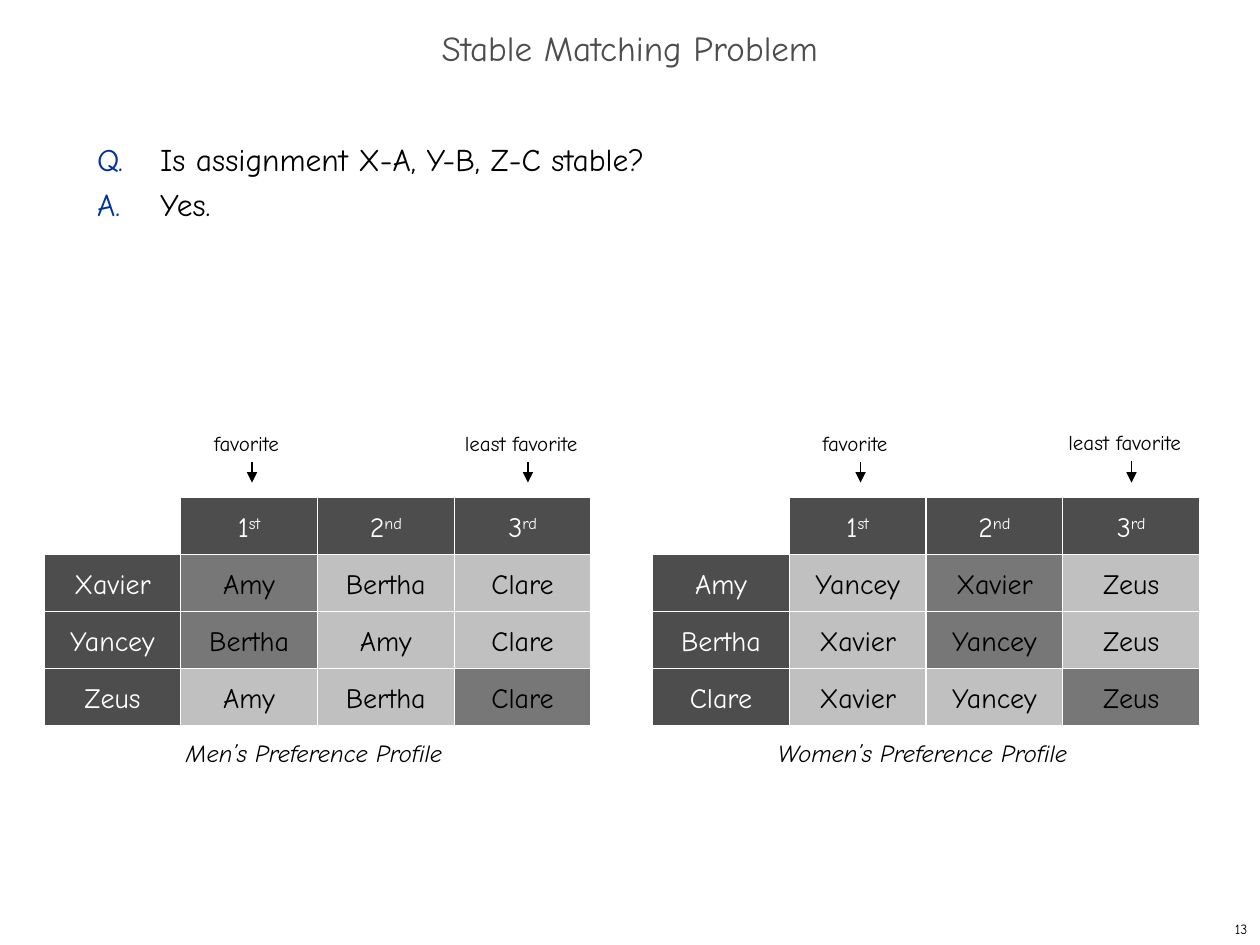
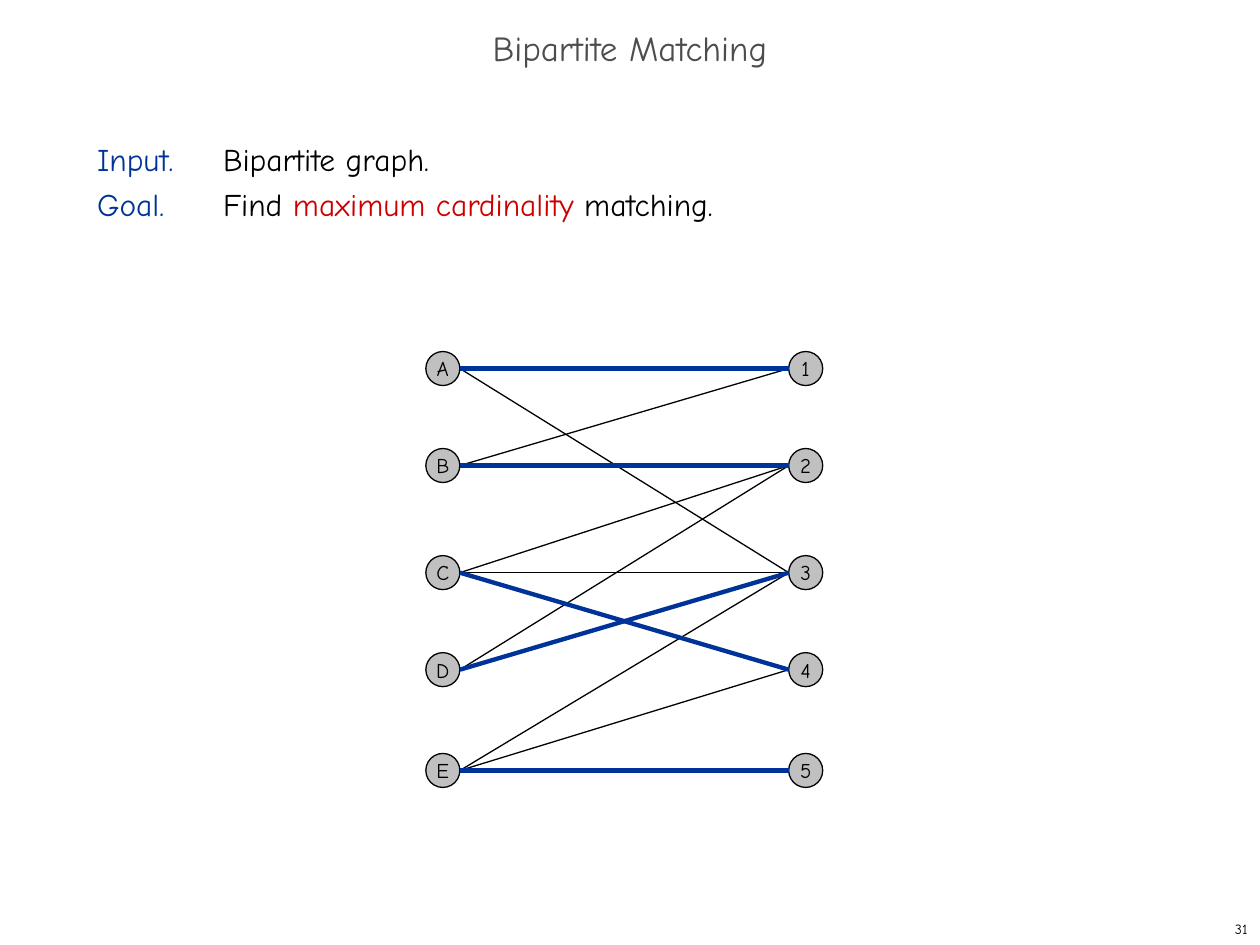
"""Two slides on matching: preference profiles and a bipartite graph."""
from dataclasses import dataclass
from typing import Any, NamedTuple

import pptx
import pptx.dml.color
import pptx.enum.shapes
import pptx.enum.text
import pptx.oxml.xmlchemy
import pptx.util

Inches = pptx.util.Inches
Pt = pptx.util.Pt
Align = pptx.enum.text.PP_ALIGN
Anchor = pptx.enum.text.MSO_ANCHOR
ShapeKind = pptx.enum.shapes.MSO_SHAPE
new_element = pptx.oxml.xmlchemy.OxmlElement


# Shared look
@dataclass(frozen=True)
class Theme:
    font: str = "Comic Neue"
    ink: str = "000000"
    paper: str = "FFFFFF"
    dark: str = "4D4D4D"
    matched: str = "777777"
    light: str = "C0C0C0"
    blue: str = "003399"
    red: str = "CC0000"
    title_size: float = 20
    body_size: float = 18
    cell_size: float = 16
    caption_size: float = 14
    label_size: float = 12
    number_size: float = 8
    body_leading: float = 26
    thin: float = 0.75
    thick: float = 2.5


THEME = Theme()


class Box(NamedTuple):
    left: float
    top: float
    width: float
    height: float

    def lengths(self) -> list[int]:
        return [Inches(value) for value in self]


class Run(NamedTuple):
    text: str
    color: str = THEME.ink
    superscript: bool = False


class Line(NamedTuple):
    """A body line: blue lead word, then runs starting at a tab stop."""
    lead: str
    tab: float
    runs: list[Run]


class Profile(NamedTuple):
    """Preference grid; matched holds the matched column of each row."""
    caption: str
    left: float
    least_offset: float
    label_top: float
    rows: dict[str, list[str]]
    matched: list[int]


# Helpers
def apply_format(target: Any, values: dict[str, Any]) -> None:
    for name, value in values.items():
        setattr(target, name, value)


def rgb(color: str) -> pptx.dml.color.RGBColor:
    return pptx.dml.color.RGBColor.from_string(color)


def add_runs(paragraph: Any, runs: list[Run], size: float, italic: bool = False) -> None:
    for item in runs:
        run = paragraph.add_run()
        run.text = item.text
        apply_format(run.font, {"name": THEME.font, "size": Pt(size), "italic": italic})
        run.font.color.rgb = rgb(item.color)
        if item.superscript:
            run.font._element.set("baseline", "30000")


def place(shape: Any, box: Box) -> None:
    apply_format(shape, dict(zip(("left", "top", "width", "height"), box.lengths())))


def add_text(slide: Any, box: Box, text: str, size: float, align: Any = Align.LEFT,
             italic: bool = False, inset: bool = True) -> None:
    frame = slide.shapes.add_textbox(*box.lengths()).text_frame
    apply_format(frame, {"word_wrap": True,
                         "vertical_anchor": Anchor.MIDDLE if inset else Anchor.TOP})
    if not inset:
        apply_format(frame, dict.fromkeys(
            ("margin_left", "margin_top", "margin_right", "margin_bottom"), 0))
    paragraph = frame.paragraphs[0]
    paragraph.alignment = align
    add_runs(paragraph, [Run(text)], size, italic)


def add_filled(slide: Any, kind: Any, box: Box, fill: str, line: str,
               runs: list[Run], size: float) -> None:
    shape = slide.shapes.add_shape(kind, *box.lengths())
    shape.shadow.inherit = False
    shape.fill.solid()
    shape.fill.fore_color.rgb = rgb(fill)
    shape.line.color.rgb = rgb(line)
    shape.line.width = Pt(THEME.thin)
    apply_format(shape.text_frame, {"word_wrap": False, "vertical_anchor": Anchor.MIDDLE})
    paragraph = shape.text_frame.paragraphs[0]
    paragraph.alignment = Align.CENTER
    add_runs(paragraph, runs, size)


def add_line(shapes: Any, start: tuple[float, float], end: tuple[float, float],
             color: str = THEME.ink, width: float = THEME.thin, arrow: bool = False) -> None:
    connector = shapes.add_connector(
        pptx.enum.shapes.MSO_CONNECTOR.STRAIGHT, *(Inches(value) for value in start + end))
    connector.line.color.rgb = rgb(color)
    connector.line.width = Pt(width)
    if arrow:
        tail = new_element("a:tailEnd")
        tail.set("type", "triangle")
        connector.line._get_or_add_ln().append(tail)
    connector._element.spPr.append(new_element("a:effectLst"))


def set_tab(paragraph: Any, position: float) -> None:
    """Remove the bullet and indent, and set one left tab stop."""
    properties = paragraph._p.get_or_add_pPr()
    properties.set("marL", "0")
    properties.set("indent", "0")
    properties.append(new_element("a:buNone"))
    tabs = new_element("a:tabLst")
    tab = new_element("a:tab")
    tab.set("pos", str(Inches(position)))
    tab.set("algn", "l")
    tabs.append(tab)
    properties.append(tabs)


# Frame common to both slides
def add_slide(presentation: Any, title: str, number: str, body_height: float,
              lines: list[Line]) -> Any:
    slide = presentation.slides.add_slide(presentation.slide_layouts[1])
    frames = []
    for shape, box, anchor in (
            (slide.shapes.title, Box(0, 0.17, 10, 0.5), Anchor.MIDDLE),
            (slide.placeholders[1], Box(0.67, 1, 8.58, body_height), Anchor.TOP)):
        place(shape, box)
        apply_format(shape.text_frame, {"vertical_anchor": anchor, "word_wrap": True,
                                        "auto_size": pptx.enum.text.MSO_AUTO_SIZE.NONE})
        frames.append(shape.text_frame)
    heading, body = frames

    paragraph = heading.paragraphs[0]
    apply_format(paragraph, {"alignment": Align.CENTER, "line_spacing": 0.7})
    add_runs(paragraph, [Run(title, THEME.dark)], THEME.title_size)

    for index, line in enumerate(lines):
        paragraph = body.add_paragraph() if index else body.paragraphs[0]
        set_tab(paragraph, line.tab)
        apply_format(paragraph, {"line_spacing": Pt(THEME.body_leading),
                                 "space_before": Pt(0)})
        add_runs(paragraph, [Run(line.lead + "\t", THEME.blue), *line.runs], THEME.body_size)

    add_text(slide, Box(7.92, 7.25, 2.08, 0.25), number, THEME.number_size, Align.RIGHT)
    return slide


# Preference profiles
GRID_TOP, GRID_WIDTH, GRID_HEIGHT = 3.95, 4.34, 1.81
CELL_WIDTH, CELL_HEIGHT = GRID_WIDTH / 4, GRID_HEIGHT / 4
ORDINALS = [("1", "st"), ("2", "nd"), ("3", "rd")]

PROFILES = [
    Profile("Men’s Preference Profile", 0.35, 3.34, 3.42, {
        "Xavier": ["Amy", "Bertha", "Clare"],
        "Yancey": ["Bertha", "Amy", "Clare"],
        "Zeus": ["Amy", "Bertha", "Clare"],
    }, [1, 1, 3]),
    Profile("Women’s Preference Profile", 5.18, 3.3, 3.41, {
        "Amy": ["Yancey", "Xavier", "Zeus"],
        "Bertha": ["Xavier", "Yancey", "Zeus"],
        "Clare": ["Xavier", "Yancey", "Zeus"],
    }, [2, 2, 3]),
]


def add_profile(slide: Any, profile: Profile) -> None:
    def add_cell(row: int, column: int, fill: str, runs: list[Run]) -> None:
        box = Box(profile.left + column * CELL_WIDTH, GRID_TOP + row * CELL_HEIGHT,
                  CELL_WIDTH, CELL_HEIGHT)
        add_filled(slide, ShapeKind.RECTANGLE, box, fill, THEME.paper, runs, THEME.cell_size)

    for column, (digit, suffix) in enumerate(ORDINALS, 1):
        add_cell(0, column, THEME.dark,
                 [Run(digit, THEME.paper), Run(suffix, THEME.paper, True)])
    for row, (person, choices) in enumerate(profile.rows.items(), 1):
        add_cell(row, 0, THEME.dark, [Run(person, THEME.paper)])
        for column, choice in enumerate(choices, 1):
            is_match = column == profile.matched[row - 1]
            add_cell(row, column, THEME.matched if is_match else THEME.light, [Run(choice)])

    for label, offset, top, width, arrow_offset in (
            ("favorite", 1.35, 3.42, 0.64, 0.3),
            ("least favorite", profile.least_offset, profile.label_top, 1.07, 0.5)):
        left = profile.left + offset
        add_text(slide, Box(left, top, width, 0.2), label, THEME.label_size, inset=False)
        arrow_x = left + arrow_offset
        add_line(slide.shapes, (arrow_x, top + 0.25), (arrow_x, 3.83), arrow=True)

    add_text(slide, Box(profile.left - 0.02, 5.75, 4.33, 0.45), profile.caption,
             THEME.caption_size, Align.CENTER, italic=True)


# Bipartite graph
NODE_SIZE = 0.27
LEFT_X, RIGHT_X = 3.38, 6.26
NODE_TOPS = [2.79, 3.56, 4.41, 5.18, 5.98]
LEFT_NODES, RIGHT_NODES = "ABCDE", "12345"
EDGES = ["A1", "A3", "B1", "B2", "C2", "C3", "C4", "D2", "D3", "E3", "E4", "E5"]
MATCHING = ["A1", "B2", "C4", "D3", "E5"]


def add_edges(shapes: Any, edges: list[str], color: str, width: float) -> None:
    for left_node, right_node in edges:
        start_y = NODE_TOPS[LEFT_NODES.index(left_node)] + NODE_SIZE / 2
        end_y = NODE_TOPS[RIGHT_NODES.index(right_node)] + NODE_SIZE / 2
        add_line(shapes, (LEFT_X + NODE_SIZE, start_y), (RIGHT_X, end_y), color, width)


def add_graph(slide: Any) -> None:
    for left, names in ((LEFT_X, LEFT_NODES), (RIGHT_X, RIGHT_NODES)):
        for name, top in zip(names, NODE_TOPS):
            add_filled(slide, ShapeKind.OVAL, Box(left, top, NODE_SIZE, NODE_SIZE),
                       THEME.light, THEME.ink, [Run(name)], THEME.label_size)
    add_edges(slide.shapes, EDGES, THEME.ink, THEME.thin)
    matching_group = slide.shapes.add_group_shape()
    add_edges(matching_group.shapes, MATCHING, THEME.blue, THEME.thick)


def main() -> None:
    presentation = pptx.Presentation()
    apply_format(presentation, {"slide_width": Inches(10), "slide_height": Inches(7.5)})

    stable_slide = add_slide(presentation, "Stable Matching Problem", "13", 2.5, [
        Line("Q.", 0.37, [Run("Is assignment X-A, Y-B, Z-C stable?")]),
        Line("A.", 0.35, [Run("Yes.")]),
    ])
    for profile in PROFILES:
        add_profile(stable_slide, profile)

    bipartite_slide = add_slide(presentation, "Bipartite Matching", "31", 5.92, [
        Line("Input.", 0.76, [Run("Bipartite graph.")]),
        Line("Goal.", 0.69, [Run("Find "), Run("maximum cardinality", THEME.red),
                             Run(" matching.")]),
    ])
    add_graph(bipartite_slide)

    presentation.save("out.pptx")


if __name__ == "__main__":
    main()
